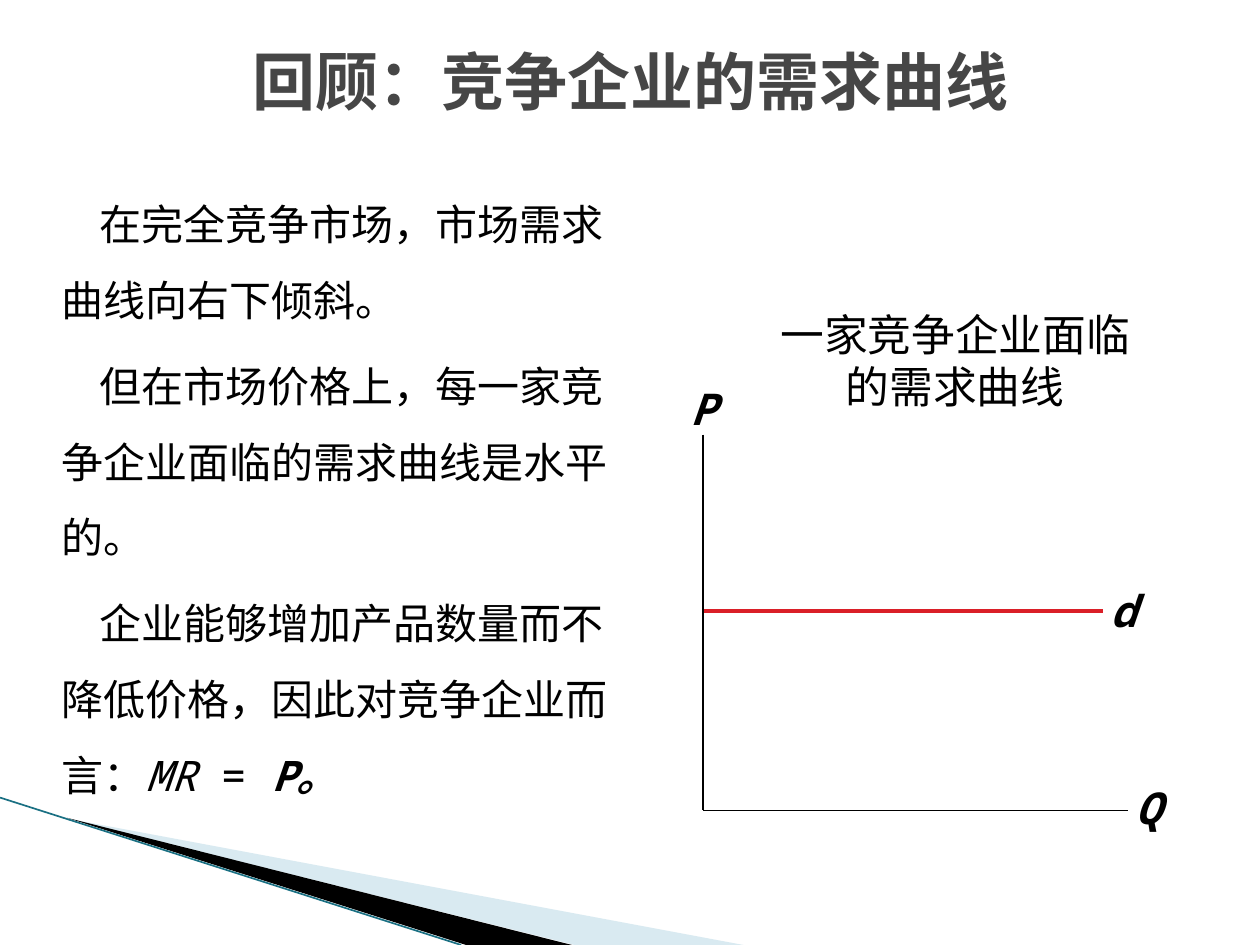
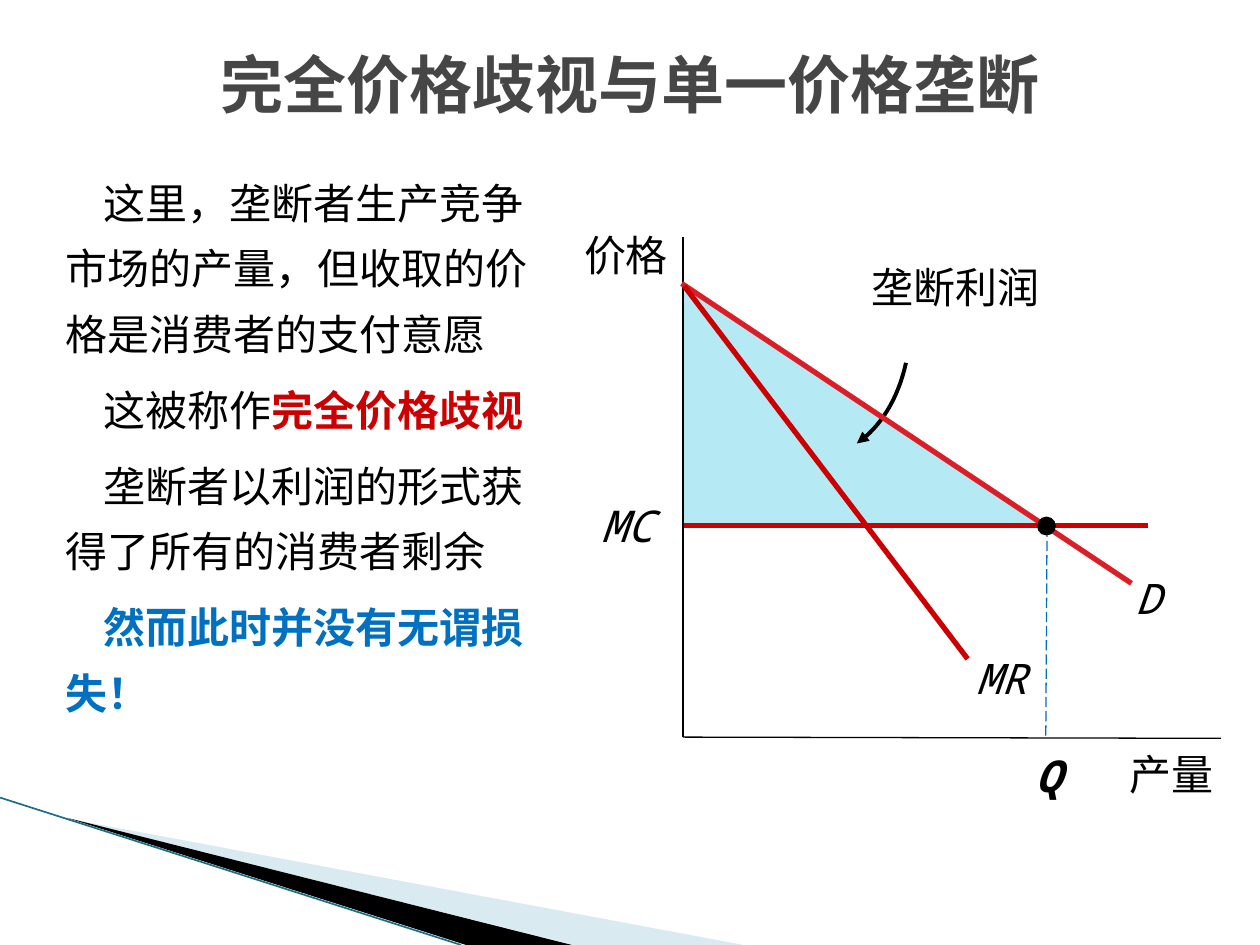
from dataclasses import dataclass

import lxml.etree
import pptx
import pptx.dml.color
import pptx.enum.dml
import pptx.enum.shapes
import pptx.enum.text
import pptx.oxml.ns
import pptx.util

Inches = pptx.util.Inches
Pt = pptx.util.Pt
ALIGN = pptx.enum.text.PP_ALIGN
ANCHOR = pptx.enum.text.MSO_ANCHOR
SHAPE = pptx.enum.shapes.MSO_SHAPE
DASH = pptx.enum.dml.MSO_LINE
Point = tuple[float, float]

LATIN_FONT = "Noto Sans Mono"
CJK_FONT = "Noto Sans CJK SC"
BLACK, GREY, RED, CRIMSON = "000000", "464646", "CC0000", "DA1F28"
BLUE, PALE_BLUE, BAND_BLUE, TEAL = "0070C0", "B5E9F4", "A0CBDC", "1A7083"


@dataclass
class Run:
    text: str
    color: str = BLACK
    bold: bool = False
    italic: bool = False
    font: str = LATIN_FONT


@dataclass
class Label:
    run: Run
    left: float
    top: float
    width: float
    height: float
    size: float = 25
    align: ALIGN = ALIGN.LEFT
    inset: bool = True


@dataclass
class Line:
    start: Point
    end: Point
    color: str = BLACK
    width: float = 0.75
    dash: DASH | None = None


def rgb(color: str) -> pptx.dml.color.RGBColor:
    return pptx.dml.color.RGBColor.from_string(color)


def sub(parent, tag: str, **attributes: str):
    """Append an XML child such as a:alpha."""
    return lxml.etree.SubElement(parent, pptx.oxml.ns.qn(tag), **attributes)


def add_run(p, run: Run, size: float) -> None:
    r = p.add_run()
    r.text = run.text
    font = r.font
    font.size, font.name = Pt(size), run.font
    font.bold, font.italic = run.bold, run.italic
    font.color.rgb = rgb(run.color)
    sub(r._r.get_or_add_rPr(), "a:ea", typeface=CJK_FONT)


def add_box(s, left: float, top: float, width: float, height: float):
    tf = s.shapes.add_textbox(
        Inches(left), Inches(top), Inches(width), Inches(height)).text_frame
    tf.word_wrap = True
    return tf


def add_label(s, label: Label) -> None:
    tf = add_box(s, label.left, label.top, label.width, label.height)
    if not label.inset:
        tf.margin_left = tf.margin_right = tf.margin_top = tf.margin_bottom = 0
    p = tf.paragraphs[0]
    p.alignment = label.align
    add_run(p, label.run, label.size)


def add_body(s, left: float, top: float, width: float, height: float,
             spacing: float, paragraphs: list[list[Run]]) -> None:
    tf = add_box(s, left, top, width, height)
    for i, runs in enumerate(paragraphs):
        p = tf.paragraphs[0] if i == 0 else tf.add_paragraph()
        p.line_spacing, p.space_before = spacing, Pt(6)
        p._p.get_or_add_pPr().set("indent", str(Inches(0.3)))
        for run in runs:
            add_run(p, run, 24)


def add_line(s, line: Line) -> None:
    ends = [Inches(v) for v in (*line.start, *line.end)]
    connector = s.shapes.add_connector(
        pptx.enum.shapes.MSO_CONNECTOR.STRAIGHT, *ends)
    connector.line.color.rgb = rgb(line.color)
    connector.line.width = Pt(line.width)
    if line.dash is not None:
        connector.line.dash_style = line.dash
    sub(connector._element.spPr, "a:effectLst")


def add_outline(s, points: list[Point], closed: bool):
    corners = [(Inches(x), Inches(y)) for x, y in points]
    builder = s.shapes.build_freeform(*corners[0])
    builder.add_line_segments(corners[1:], close=closed)
    shape = builder.convert_to_shape()
    shape.shadow.inherit = False
    return shape


def fill_plain(shape, color: str, opacity: int = 100) -> None:
    """Fill without an outline; opacity is in percent."""
    shape.shadow.inherit = False
    shape.line.fill.background()
    shape.fill.solid()
    shape.fill.fore_color.rgb = rgb(color)
    if opacity < 100:
        solid = shape._element.spPr.find(pptx.oxml.ns.qn("a:solidFill"))
        sub(solid[0], "a:alpha", val=str(opacity * 1000))


def add_preset(s, kind: SHAPE, left: float, top: float,
               width: float, height: float, color: str) -> None:
    shape = s.shapes.add_shape(
        kind, Inches(left), Inches(top), Inches(width), Inches(height))
    fill_plain(shape, color)


def add_curved_arrow(s, controls: list[Point], steps: int = 16) -> None:
    """Draw a cubic Bezier curve with an arrowhead at its end."""
    points = []
    for i in range(steps + 1):
        t = i / steps
        weights = ((1 - t) ** 3, 3 * t * (1 - t) ** 2, 3 * t * t * (1 - t), t ** 3)
        points.append((sum(w * x for w, (x, _) in zip(weights, controls)),
                       sum(w * y for w, (_, y) in zip(weights, controls))))
    arrow = add_outline(s, points, closed=False)
    arrow.fill.background()
    arrow.line.color.rgb = rgb(BLACK)
    arrow.line.width = Pt(2.25)
    sub(arrow.line._get_or_add_ln(), "a:tailEnd", type="triangle")


def add_slide(prs, title: str, title_top: float):
    """Add a slide with the corner wedges and a styled title."""
    s = prs.slides.add_slide(prs.slide_layouts[5])
    fill_plain(add_outline(s, [(0.55, 6.5), (5.9, 7.5), (4.56, 7.5)], True),
               BAND_BLUE, 40)
    fill_plain(add_outline(s, [(0.53, 6.49), (4.54, 7.5), (3.7, 7.5)], True), BLACK)
    add_line(s, Line((0, 6.33), (3.66, 7.5), TEAL, 0.95))
    sp = s.shapes.title
    sp.left, sp.top = Inches(0.5), Inches(title_top)
    sp.width, sp.height = Inches(9), Inches(0.71)
    tf = sp.text_frame
    tf.vertical_anchor = ANCHOR.MIDDLE
    p = tf.paragraphs[0]
    p.alignment = ALIGN.CENTER
    add_run(p, Run(title, GREY, bold=True), 36)
    return s


def symbol(text: str, bold: bool = False) -> Run:
    return Run(text, bold=bold, italic=True)


def build_competitive_demand(prs) -> None:
    s = add_slide(prs, "回顾：竞争企业的需求曲线", 0.28)
    add_body(s, 0.39, 1.33, 4.69, 5.23, 1.5, [
        [Run("在完全竞争市场，市场需求曲线向右下倾斜。")],
        [Run("但在市场价格上，每一家竞争企业面临的需求曲线是水平的。")],
        [Run("企业能够增加产品数量而不降低价格，因此对竞争企业而言："),
         symbol("MR"), Run(" = "), symbol("P。", bold=True)],
    ])
    origin = (5.58, 6.43)
    for line in (
        Line((5.58, 4.85), (8.75, 4.85), CRIMSON, 2.25),
        Line((5.58, 3.45), origin),
        Line(origin, (8.95, 6.43)),
    ):
        add_line(s, line)
    for label in (
        Label(symbol("d", bold=True), 8.81, 4.63, 0.33, 0.42, inset=False),
        Label(symbol("P", bold=True), 5.32, 2.98, 0.52, 0.52, align=ALIGN.CENTER),
        Label(symbol("Q", bold=True), 8.91, 6.15, 0.59, 0.52),
        Label(Run("一家竞争企业面临的需求曲线"), 5.97, 2.39, 3.22, 0.94,
              align=ALIGN.CENTER),
    ):
        add_label(s, label)


def build_price_discrimination(prs) -> None:
    s = add_slide(prs, "完全价格歧视与单一价格垄断", 0.31)
    add_preset(s, SHAPE.RIGHT_TRIANGLE, 5.42, 2.26, 2.85, 1.91, PALE_BLUE)
    add_curved_arrow(s, [(7.19, 2.88), (7.13, 3.16), (6.99, 3.39), (6.8, 3.52)])
    add_body(s, 0.42, 1.24, 3.95, 5.76, 1.3, [
        [Run("这里，垄断者生产竞争市场的产量，但收取的价格是消费者的支付意愿")],
        [Run("这被称作"), Run("完全价格歧视", RED, bold=True)],
        [Run("垄断者以利润的形式获得了所有的消费者剩余")],
        [Run("然而此时并没有无谓损失！", BLUE, bold=True, font=CJK_FONT)],
    ])
    origin = (5.42, 5.85)
    for line in (
        Line((5.41, 4.17), (9.11, 4.17), RED, 3),
        Line((5.42, 1.88), origin),
        Line(origin, (9.69, 5.86)),
        Line((5.41, 2.25), (8.98, 4.63), CRIMSON, 3),
        Line((5.43, 2.27), (7.68, 5.23), RED, 3),
        Line((8.31, 4.18), (8.3, 5.85), BLUE, 0.75, DASH.LONG_DASH),
    ):
        add_line(s, line)
    add_preset(s, SHAPE.OVAL, 8.23, 4.1, 0.15, 0.15, BLACK)
    for label in (
        Label(Run("垄断利润"), 6.82, 2.03, 2, 0.51, 24),
        Label(symbol("MC"), 4.67, 3.91, 0.74, 0.52),
        Label(Run("产量"), 8.27, 5.94, 1.36, 0.4, 24, ALIGN.RIGHT, False),
        Label(Run("价格"), 3.66, 1.77, 1.74, 0.5, 24, ALIGN.RIGHT),
        Label(symbol("D"), 8.87, 4.54, 0.48, 0.4, 24, ALIGN.CENTER, False),
        Label(symbol("MR"), 7.62, 5.18, 0.65, 0.4, 24, ALIGN.CENTER, False),
        Label(symbol("Q", bold=True), 8.05, 5.94, 0.54, 0.47,
              align=ALIGN.CENTER, inset=False),
    ):
        add_label(s, label)


def main() -> None:
    prs = pptx.Presentation()
    prs.slide_width, prs.slide_height = Inches(10), Inches(7.5)
    build_competitive_demand(prs)
    build_price_discrimination(prs)
    prs.save("out.pptx")


if __name__ == "__main__":
    main()
